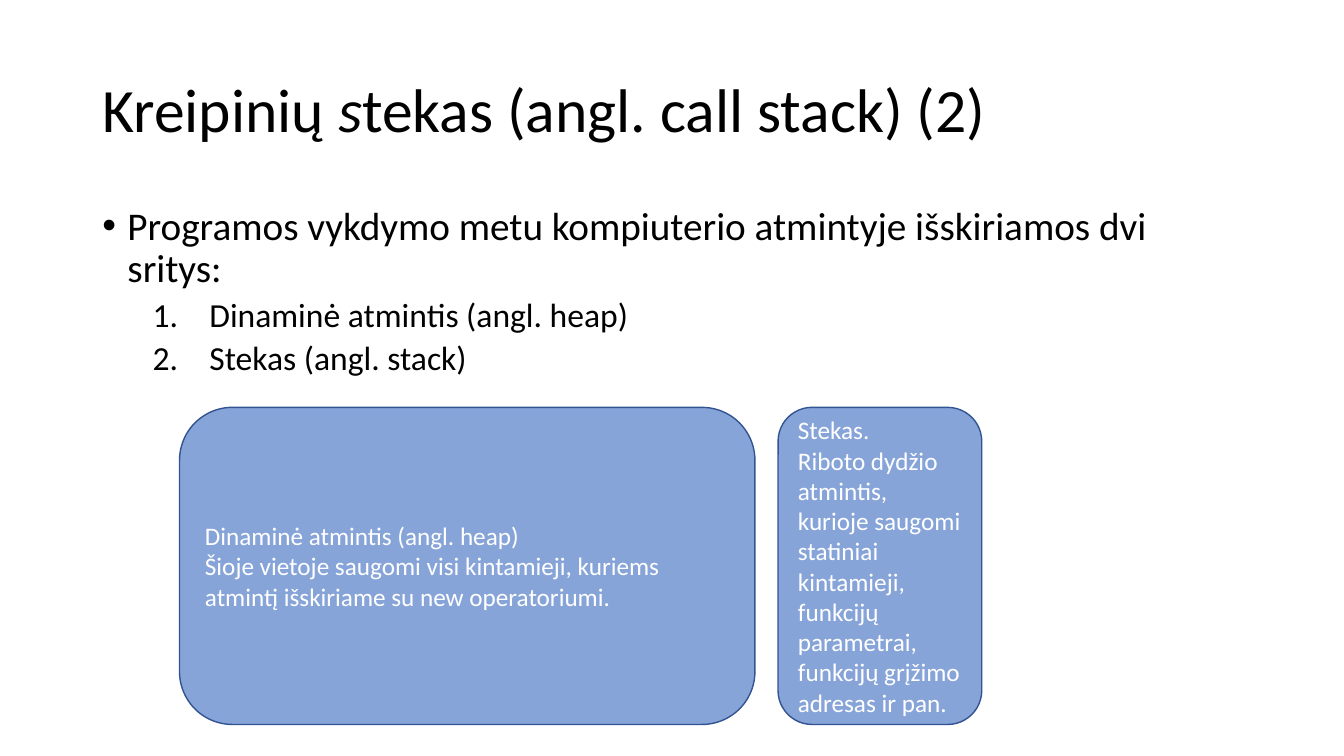
from lxml.etree import SubElement
from pptx import Presentation
from pptx.dml.color import RGBColor
from pptx.enum.shapes import MSO_SHAPE
from pptx.enum.text import MSO_ANCHOR, PP_ALIGN
from pptx.oxml.ns import qn
from pptx.util import Pt

PX = 9525
FONT = "Calibri"
BLACK, WHITE, BLUE, NAVY = "000000", "FFFFFF", "4472C4", "325491"


def px(length):
    """Turn whole px into EMU."""
    return length * PX


def color(hex_code):
    """Turn a hex string into a colour."""
    return RGBColor.from_string(hex_code)


def style(paragraph, size, hex_code):
    """Format every run of a paragraph."""
    for run in paragraph.runs:
        run.font.name = FONT
        run.font.size = Pt(size)
        run.font.color.rgb = color(hex_code)


def add_frame(slide, box):
    """Add a wrapping text box and return its text frame."""
    frame = slide.shapes.add_textbox(*map(px, box)).text_frame
    frame.word_wrap = True
    return frame


def add_marker(paragraph, margin, hanging, tag, **attributes):
    """Give a paragraph a hanging bullet or number."""
    properties = paragraph._p.get_or_add_pPr()
    properties.set("marL", str(px(margin)))
    properties.set("indent", str(-px(hanging)))
    if tag == "a:buChar":
        SubElement(properties, qn("a:buFont"), typeface="Arial")
    SubElement(properties, qn(tag), **attributes)


def add_title(slide, box, parts):
    """Place the heading, made of (wording, italic) parts."""
    frame = add_frame(slide, box)
    frame.vertical_anchor = MSO_ANCHOR.MIDDLE
    heading = frame.paragraphs[0]
    heading.line_spacing = 0.9
    for wording, italic in parts:
        run = heading.add_run()
        run.text = wording
        run.font.italic = italic
    style(heading, 44, BLACK)


def add_body(slide, box, statement, areas):
    """Place the bulleted statement and the numbered memory areas."""
    frame = add_frame(slide, box)
    lead = frame.paragraphs[0]
    lead.text = statement
    add_marker(lead, 24, 24, "a:buChar", char="•")
    lead.line_spacing = 0.9
    style(lead, 28, BLACK)
    for area in areas:
        item = frame.add_paragraph()
        item.text = area
        item.level = 1
        add_marker(item, 102, 54, "a:buAutoNum", type="arabicPeriod")
        item.line_spacing = 0.9
        item.space_before = Pt(5)
        style(item, 24, BLACK)


def add_memory_area(slide, box, lines):
    """Place a translucent rounded block describing a memory area."""
    block = slide.shapes.add_shape(MSO_SHAPE.ROUNDED_RECTANGLE, *map(px, box))
    block.shadow.inherit = False
    block.fill.solid()
    block.fill.fore_color.rgb = color(BLUE)
    tint = block.fill._xPr.find(qn("a:solidFill")).find(qn("a:srgbClr"))
    SubElement(tint, qn("a:alpha"), val="64000")
    block.line.color.rgb = color(NAVY)
    block.line.width = Pt(1)
    frame = block.text_frame
    frame.word_wrap = True
    frame.vertical_anchor = MSO_ANCHOR.MIDDLE
    frame.text = "\n".join(lines)
    for paragraph in frame.paragraphs:
        paragraph.alignment = PP_ALIGN.LEFT
        style(paragraph, 18, WHITE)


def add_memory_map(slide, box, gap, areas):
    """Lay out memory areas of given widths from left to right."""
    left, top, height = box
    for width, lines in areas:
        add_memory_area(slide, (left, top, width, height), lines)
        left += width + gap


def main():
    """Build and save the slide."""
    deck = Presentation()
    deck.slide_width, deck.slide_height = px(1280), px(720)
    slide = deck.slides.add_slide(deck.slide_layouts[6])
    heap = "Dinaminė atmintis (angl. heap)"
    add_title(slide, (88, 38, 1104, 139), [
        ("Kreipinių ", False), ("s", True),
        ("tekas (angl. call stack) (2)", False)])
    add_body(
        slide, (88, 192, 1104, 196),
        "Programos vykdymo metu kompiuterio atmintyje išskiriamos dvi sritys:",
        [heap, "Stekas (angl. stack)"])
    add_memory_map(slide, (171, 388, 302), 22, [
        (548, [heap, "Šioje vietoje saugomi visi kintamieji, kuriems "
                     "atmintį išskiriame su new operatoriumi."]),
        (194, ["Stekas.", "Riboto dydžio atmintis, kurioje saugomi statiniai "
                          "kintamieji, funkcijų parametrai, funkcijų grįžimo "
                          "adresas ir pan."])])
    deck.save("out.pptx")


if __name__ == "__main__":
    main()
